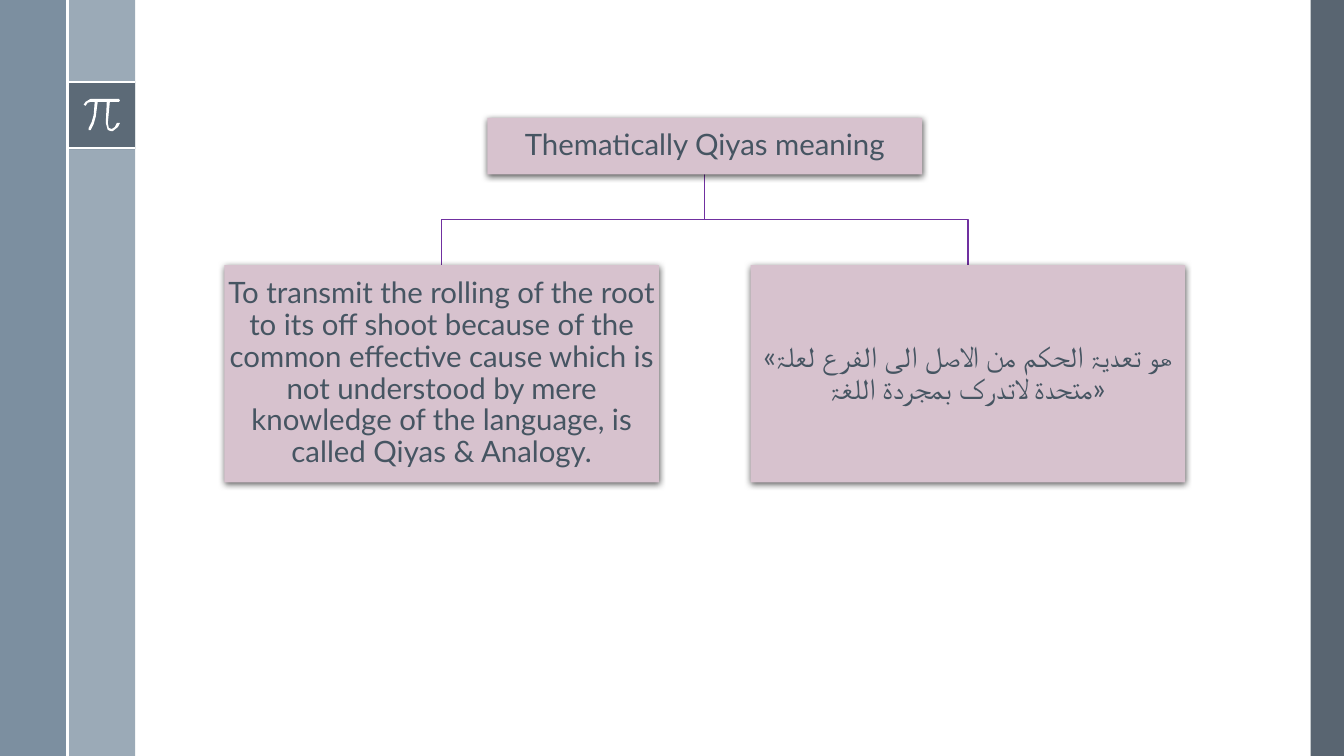
import pptx
import pptx.dml.color
import pptx.enum.shapes
import pptx.enum.text
import pptx.oxml
import pptx.oxml.ns
import pptx.util
from pptx.util import Inches

WHITE, PURPLE, MAUVE, SLATE = "FFFFFF", "7030A0", "D7C2CE", "465562"
A_NS = pptx.oxml.ns.nsdecls("a")
qn = pptx.oxml.ns.qn


def paint(fmt, color, opacity=100):
    """Make a fill solid, with opacity in percent."""
    fmt.solid()
    fmt.fore_color.rgb = pptx.dml.color.RGBColor.from_string(color)
    if opacity < 100:
        alpha = pptx.oxml.parse_xml(f'<a:alpha {A_NS} val="{opacity * 1000}"/>')
        fmt._xPr.find(".//" + qn("a:srgbClr")).append(alpha)


def add_outline(points, closed):
    """Add a freeform through points given in inches."""
    (x, y), *rest = [(Inches(px), Inches(py)) for px, py in points]
    builder = s.shapes.build_freeform(x, y)
    builder.add_line_segments(rest, close=closed)
    sp = builder.convert_to_shape()
    sp.shadow.inherit = False
    return sp


prs = pptx.Presentation()
prs.slide_width, prs.slide_height = Inches(13.33), Inches(7.5)
s = prs.slides.add_slide(prs.slide_layouts[6])
RECT = pptx.enum.shapes.MSO_SHAPE.RECTANGLE

# Side bands and the square behind the pi sign
bands = [
    (13, 0, 0.33, 7.5, "475562", 90),
    (0.67, 0, 0.67, 7.5, "9BAAB7", 100),
    (0, 0, 0.67, 7.5, "6A8093", 88),
    (0.67, 0.81, 0.67, 0.67, "475562", 75),
]
for x, y, w, h, color, opacity in bands:
    sp = s.shapes.add_shape(RECT, Inches(x), Inches(y), Inches(w), Inches(h))
    sp.shadow.inherit = False
    sp.line.fill.background()
    paint(sp.fill, color, opacity)

for x1, y1, x2, y2 in [(0.67, 0.81, 1.34, 0.81), (0.67, 1.47, 1.34, 1.47), (0.67, 0, 0.67, 7.5)]:
    rule = s.shapes.add_connector(
        pptx.enum.shapes.MSO_CONNECTOR.STRAIGHT, Inches(x1), Inches(y1), Inches(x2), Inches(y2))
    rule.line.width = pptx.util.Pt(1.5)
    paint(rule.line.fill, WHITE)
    rule._element.spPr.append(pptx.oxml.parse_xml(f"<a:effectLst {A_NS}/>"))

pi_points = [
    (1.18, 0.98), (0.9, 0.98), (0.85, 1.01), (0.83, 1.04), (0.85, 1.05), (0.87, 1.02),
    (0.9, 1.01), (0.94, 1.01), (0.93, 1.14), (0.91, 1.21), (0.88, 1.27), (0.88, 1.29),
    (0.9, 1.29), (0.93, 1.23), (0.95, 1.16), (0.97, 1.01), (1.06, 1.01), (1.05, 1.22),
    (1.07, 1.29), (1.1, 1.3), (1.12, 1.3), (1.17, 1.26), (1.19, 1.22), (1.16, 1.22),
    (1.14, 1.26), (1.11, 1.28), (1.08, 1.27), (1.07, 1.22), (1.09, 1.01), (1.18, 1.01),
    (1.19, 1),
]
pi_sign = add_outline(pi_points, True)
paint(pi_sign.fill, WHITE)
pi_sign.line.fill.background()

# Tree: a root box with two children below it
BOX_W, ROOT_MID, ROOT_Y, ROOT_H = 4.31, 6.99, 1.17, 0.56
CHILD_Y, CHILD_H, CHILD_SHIFT = 2.63, BOX_W / 2, 2.61
root_bottom = ROOT_Y + ROOT_H
fork_y = (root_bottom + CHILD_Y) / 2

for child_mid in (ROOT_MID + CHILD_SHIFT, ROOT_MID - CHILD_SHIFT):
    branch = add_outline(
        [(ROOT_MID, root_bottom), (ROOT_MID, fork_y), (child_mid, fork_y), (child_mid, CHILD_Y)], False)
    branch.fill.background()
    branch.line.width = pptx.util.Pt(1)
    paint(branch.line.fill, PURPLE)

boxes = [
    (ROOT_MID, ROOT_Y, ROOT_H, "Thematically Qiyas meaning"),
    (ROOT_MID - CHILD_SHIFT, CHILD_Y, CHILD_H,
     "To transmit the rolling of the root to its off shoot because of the common effective cause "
     "which is not understood by mere knowledge of the language, is called Qiyas & Analogy."),
    (ROOT_MID + CHILD_SHIFT, CHILD_Y, CHILD_H,
     "«ھو تعدیۃ الحکم من الاصل الی الفرع لعلۃ متحدۃ لاتدرک بمجردۃ اللغۃ»"),
]
for mid, y, h, text in boxes:
    sp = s.shapes.add_shape(RECT, Inches(mid - BOX_W / 2), Inches(y), Inches(BOX_W), Inches(h))
    paint(sp.fill, MAUVE)
    sp.line.fill.background()
    sp.shadow.inherit = False
    sp._element.spPr.find(qn("a:effectLst")).append(pptx.oxml.parse_xml(
        f'<a:outerShdw {A_NS} blurRad="57150" dist="19050" dir="5400000" algn="ctr" rotWithShape="0">'
        '<a:srgbClr val="000000"><a:alpha val="63000"/></a:srgbClr></a:outerShdw>'))
    tf = sp.text_frame
    tf.word_wrap = True
    tf.vertical_anchor = pptx.enum.text.MSO_ANCHOR.MIDDLE
    tf.margin_left = tf.margin_right = tf.margin_top = tf.margin_bottom = Inches(0.01)
    p = tf.paragraphs[0]
    p.alignment = pptx.enum.text.PP_ALIGN.CENTER
    p.line_spacing = 0.9
    r = p.add_run()
    r.text = text
    r.font.name = "Lato"
    r.font.size = pptx.util.Pt(21)
    paint(r.font.fill, SLATE)

prs.save("out.pptx")
